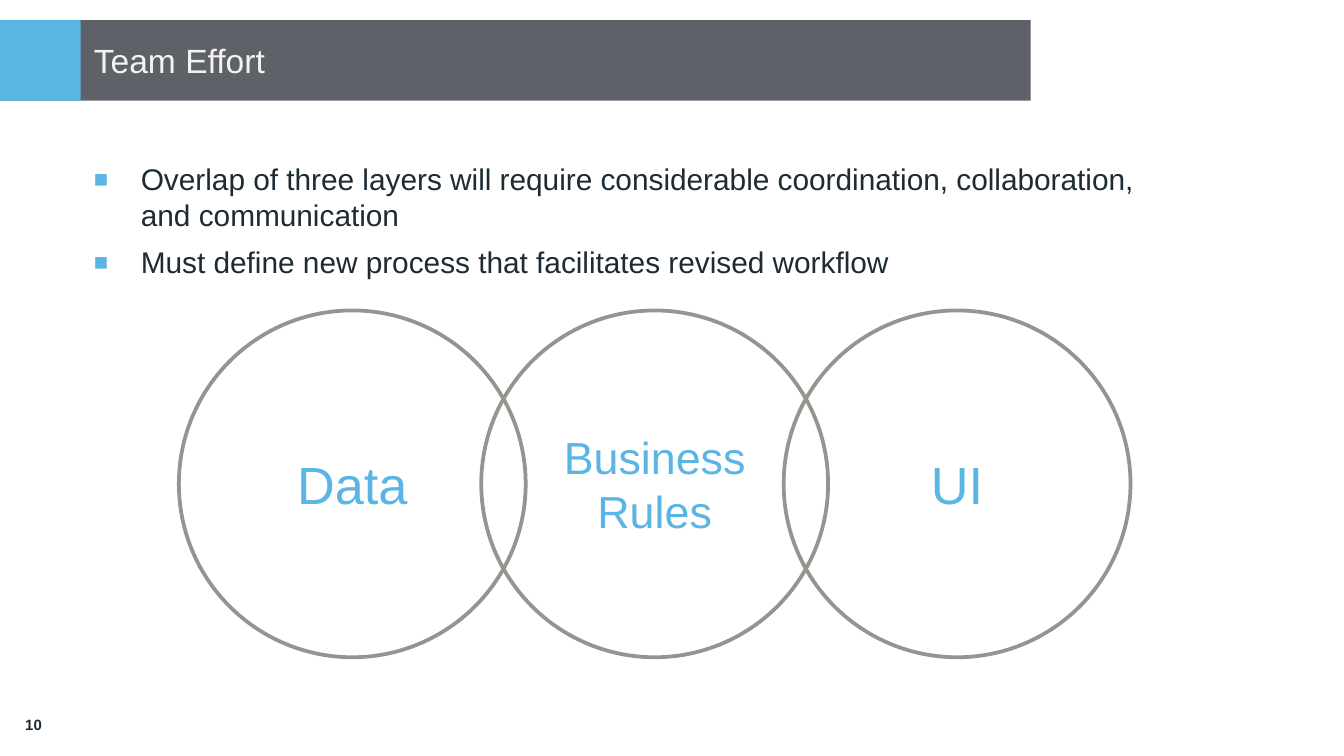
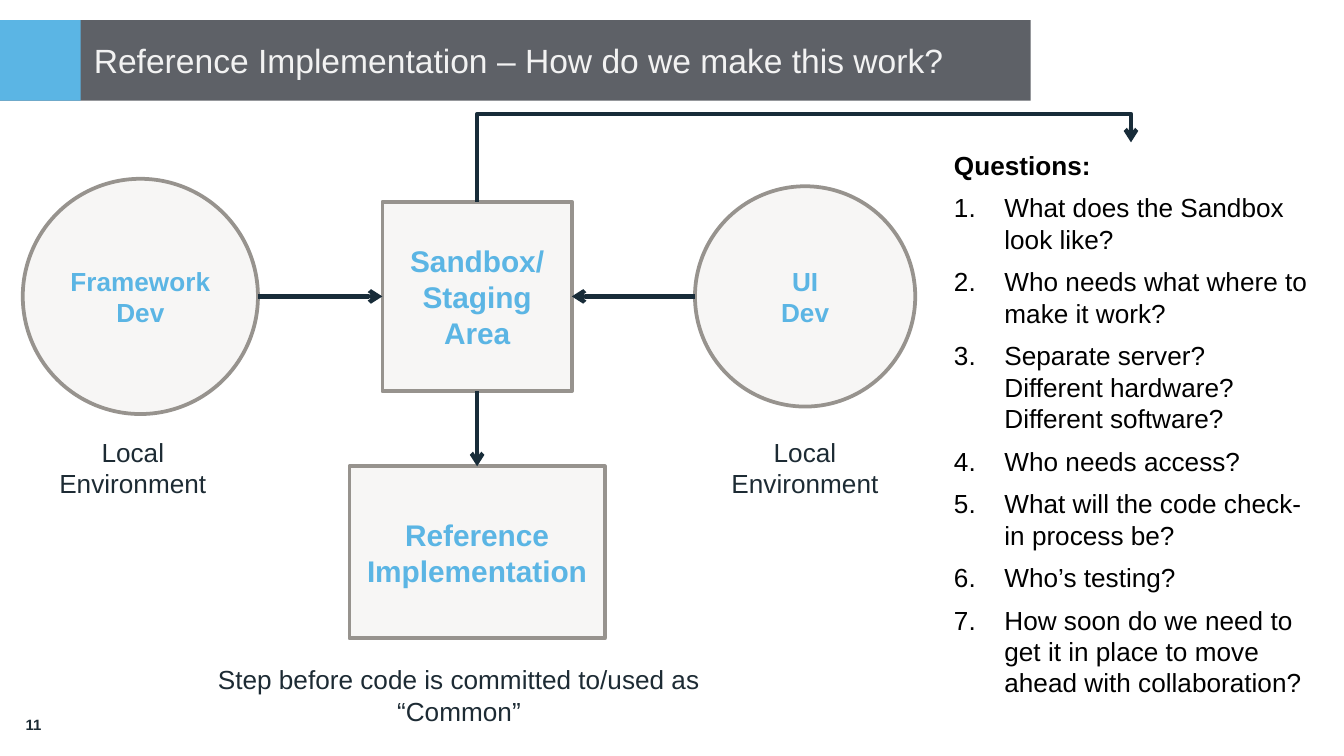
from lxml.etree import SubElement
from pptx import Presentation
from pptx.dml.color import RGBColor
from pptx.enum.shapes import MSO_CONNECTOR, MSO_SHAPE
from pptx.enum.text import MSO_ANCHOR, PP_ALIGN
from pptx.oxml.ns import qn
from pptx.util import Pt

COLORS = {
    "band": "5E6167",
    "accent": "5BB5E4",
    "title": "F2F2F2",
    "text": "1D2B34",
    "black": "000000",
    "outline": "97938E",
    "node": "CCC7C0",
    "arrow": "182C39",
}
STYLES = {
    "title": {"size": Pt(18), "color": "title"},
    "number": {"size": Pt(8), "bold": True, "color": "text"},
    "body": {"size": Pt(16), "color": "text"},
    "caption": {"size": Pt(14), "color": "text"},
    "question": {"size": Pt(14), "color": "black"},
    "heading": {"size": Pt(14), "bold": True, "color": "black"},
    "circle": {"size": Pt(14), "bold": True, "color": "accent"},
    "square": {"size": Pt(16), "bold": True, "color": "accent"},
    "layer": {"size": Pt(28), "color": "accent"},
    "long layer": {"size": Pt(24), "color": "accent"},
}
CENTERED = {"alignment": PP_ALIGN.CENTER}
LEFT = {"alignment": PP_ALIGN.LEFT}
SPACED = {**LEFT, "space_before": Pt(3), "space_after": Pt(3)}
BODY_AREA = (43.2, 82.8, 581, 233)
LAYERS_AREA = (95.8, 166.3, 509.8, 185.8)
FLOW_AREA = (12.2, 60, 478.1, 335)
QUESTIONS_AREA = (504, 76.3, 203.8, 303.8)


def color(name):
    """Return the named palette colour."""
    return RGBColor.from_string(COLORS[name])


def apply(target, values):
    """Set each value as an attribute of the target."""
    for name, value in values.items():
        setattr(target, name, value)


def write(box, lines, style, layout=CENTERED, anchor=MSO_ANCHOR.MIDDLE):
    """Write one paragraph per line and return the paragraphs."""
    frame = box.text_frame
    apply(frame, {"word_wrap": True, "vertical_anchor": anchor})
    for index, line in enumerate(lines):
        para = frame.add_paragraph() if index else frame.paragraphs[0]
        apply(para, layout)
        span = para.add_run()
        span.text = line
        values = {"name": "Arial", **STYLES[style]}
        span.font.color.rgb = color(values.pop("color"))
        apply(span.font, values)
    return frame.paragraphs


def add_text(page, area, lines, style, layout=CENTERED, anchor=MSO_ANCHOR.TOP):
    """Add a text box over the area."""
    box = page.shapes.add_textbox(*map(Pt, area))
    write(box, lines, style, layout, anchor)
    return box


def add_shape(page, kind, area, fill=None, outline=None, opacity=None):
    """Add a flat preset shape over the area."""
    box = page.shapes.add_shape(kind, *map(Pt, area))
    box.shadow.inherit = False
    if fill:
        box.fill.solid()
        box.fill.fore_color.rgb = color(fill)
    else:
        box.fill.background()
    if opacity:
        tint = box.element.spPr.find(qn("a:solidFill"))[0]
        SubElement(tint, qn("a:alpha"), val=str(opacity * 1000))
    if outline:
        box.line.color.rgb = color(outline)
        box.line.width = Pt(2)
    else:
        box.line.fill.background()
    return box


def around(x, y, width, height):
    """Return the area centred on a point."""
    return x - width / 2, y - height / 2, width, height


def hang(para, indent, marks):
    """Give the paragraph a hanging indent and bullet marks."""
    properties = para._p.get_or_add_pPr()
    properties.set("marL", str(Pt(indent)))
    properties.set("indent", str(-Pt(indent)))
    for tag, values in marks:
        SubElement(properties, qn(tag), **values)


def add_arrow(page, kind, start, end):
    """Add an arrow between two points."""
    arrow = page.shapes.add_connector(kind, *map(Pt, (*start, *end)))
    arrow.line.color.rgb = color("arrow")
    arrow.line.width = Pt(2.25)
    SubElement(arrow.line._get_or_add_ln(), qn("a:tailEnd"), type="arrow")
    SubElement(arrow.element.spPr, qn("a:effectLst"))
    return arrow


def add_page(deck, title, number):
    """Add a page with its title band and page number."""
    page = deck.slides.add_slide(deck.slide_layouts[6])
    add_shape(page, MSO_SHAPE.RECTANGLE, (0, 10.8, 552.2, 43.2), "band")
    add_shape(page, MSO_SHAPE.RECTANGLE, (0, 10.8, 43.2, 43.2), "accent")
    add_text(page, (0, 370.8, 36, 34.2), [str(number)], "number", anchor=MSO_ANCHOR.MIDDLE)
    heading = add_text(page, (43.2, 10.8, 509, 43.2), [title], "title", LEFT, MSO_ANCHOR.MIDDLE)
    apply(heading.text_frame, {"margin_top": Pt(0.72), "margin_bottom": Pt(0.72)})
    return page


def add_bullets(page, area, lines):
    """Add square-bulleted body text."""
    box = add_text(page, area, lines, "body", LEFT)
    for index, para in enumerate(box.text_frame.paragraphs):
        para.space_before = Pt(6 if index else 0)
        hang(para, 25.2, [("a:buClr", {}), ("a:buSzPct", {"val": "80000"}),
                          ("a:buFont", {"typeface": "Arial"}), ("a:buChar", {"char": "■"})])
        tint = para._p.pPr.find(qn("a:buClr"))
        SubElement(tint, qn("a:srgbClr"), val=COLORS["accent"])


def add_layers(page, area, layers):
    """Add a row of equal overlapping circles that fills the area."""
    left, top, width, size = area
    pitch = (width - size) / (len(layers) - 1)
    for index, (lines, style) in enumerate(layers):
        place = (left + index * pitch, top, size, size)
        circle = add_shape(page, MSO_SHAPE.OVAL, place, outline="outline")
        write(circle, lines, style)


def add_flow(page, area):
    """Add the environments, staging area and result; return the staging box."""
    left, top, width, height = area
    axis, middle = top + 98.8, left + 243.4
    circle, square = MSO_SHAPE.OVAL, MSO_SHAPE.RECTANGLE
    framework, interface = left + 63, left + width - 59
    nodes = [
        (circle, (framework, axis, 126, 126), ["Framework", "Dev"], "circle"),
        (circle, (interface, axis, 118, 118), ["UI", "Dev"], "circle"),
        (square, (middle, axis, 101.5, 101.5), ["Sandbox/", "Staging Area"], "square"),
        (square, (middle, axis + 137.1, 136.8, 92.2), ["Reference", "Implementation"], "square"),
    ]
    boxes = []
    for kind, place, lines, style in nodes:
        box = add_shape(page, kind, around(*place), "node", "outline", 15)
        write(box, lines, style)
        boxes.append(box)
    sandbox, reference = boxes[2:]

    for start, side in ((left + 126, 1), (left + width - 118, 3)):
        arrow = add_arrow(page, MSO_CONNECTOR.STRAIGHT, (start, axis), (middle, axis))
        arrow.end_connect(sandbox, side)
    arrow = add_arrow(page, MSO_CONNECTOR.STRAIGHT, (middle, axis), (middle, axis + 91))
    arrow.begin_connect(sandbox, 2)
    arrow.end_connect(reference, 0)

    captions = [
        (framework - 4, axis + 92, 112.3, "Local Environment"),
        (interface, axis + 92, 112.3, "Local Environment"),
        (middle - 9.7, axis + 213.8, 275.8, "Step before code is committed to/used as “Common”"),
    ]
    for x, y, breadth, line in captions:
        add_text(page, around(x, y, breadth, 41), [line], "caption")
    return sandbox


def add_questions(page, area, heading, lines):
    """Add a heading with a numbered list below it."""
    box = add_text(page, area, [heading, *lines], "question", SPACED)
    first, *items = box.text_frame.paragraphs
    first.runs[0].font.bold = STYLES["heading"]["bold"]
    for para in items:
        hang(para, 27, [("a:buFont", {"typeface": "Arial"}),
                        ("a:buAutoNum", {"type": "arabicPeriod"})])
    return box


def link_over(page, source, target, rise):
    """Bend an arrow from the source's top, over and down to the target's top."""
    start = (source.left + source.width // 2, source.top)
    end = (target.left + target.width // 2, target.top)
    arrow = add_arrow(page, MSO_CONNECTOR.ELBOW, (0, 0), (10, 10))
    arrow.begin_connect(source, 0)
    arrow.end_connect(target, 0)
    span, drop = end[0] - start[0], start[1] - end[1]
    apply(arrow, {
        "left": (start[0] + end[0] - drop) // 2,
        "top": (start[1] + end[1] - span) // 2,
        "width": drop,
        "height": span,
    })
    for name, value in {"rot": "5400000", "flipH": "1", "flipV": "1"}.items():
        arrow.element.spPr.xfrm.set(name, value)
    bend = round(Pt(rise) / drop * 100000)
    guides = arrow.element.spPr.find(qn("a:prstGeom")).find(qn("a:avLst"))
    SubElement(guides, qn("a:gd"), name="adj1", fmla=f"val {bend}")


def add_team_page(deck):
    """Add the page on the overlap of the three layers."""
    page = add_page(deck, "Team Effort", 10)
    add_layers(page, LAYERS_AREA, [
        (["Data"], "layer"),
        (["Business", "Rules"], "long layer"),
        (["UI"], "layer"),
    ])
    add_bullets(page, BODY_AREA, [
        "Overlap of three layers will require considerable coordination, "
        "collaboration, and communication",
        "Must define new process that facilitates revised workflow",
    ])


def add_reference_page(deck):
    """Add the page on the reference implementation."""
    page = add_page(deck, "Reference Implementation – How do we make this work?", 11)
    sandbox = add_flow(page, FLOW_AREA)
    questions = add_questions(page, QUESTIONS_AREA, "Questions:", [
        "What does the Sandbox look like?",
        "Who needs what where to make it work?",
        "Separate server? Different hardware? Different software?",
        "Who needs access?",
        "What will the code check-in process be?",
        "Who’s testing?",
        "How soon do we need to get it in place to move ahead with collaboration?",
    ])
    link_over(page, sandbox, questions, 47)


def main():
    """Build and save the deck."""
    deck = Presentation()
    apply(deck, {"slide_width": Pt(720), "slide_height": Pt(405)})
    add_team_page(deck)
    add_reference_page(deck)
    deck.save("out.pptx")


if __name__ == "__main__":
    main()
